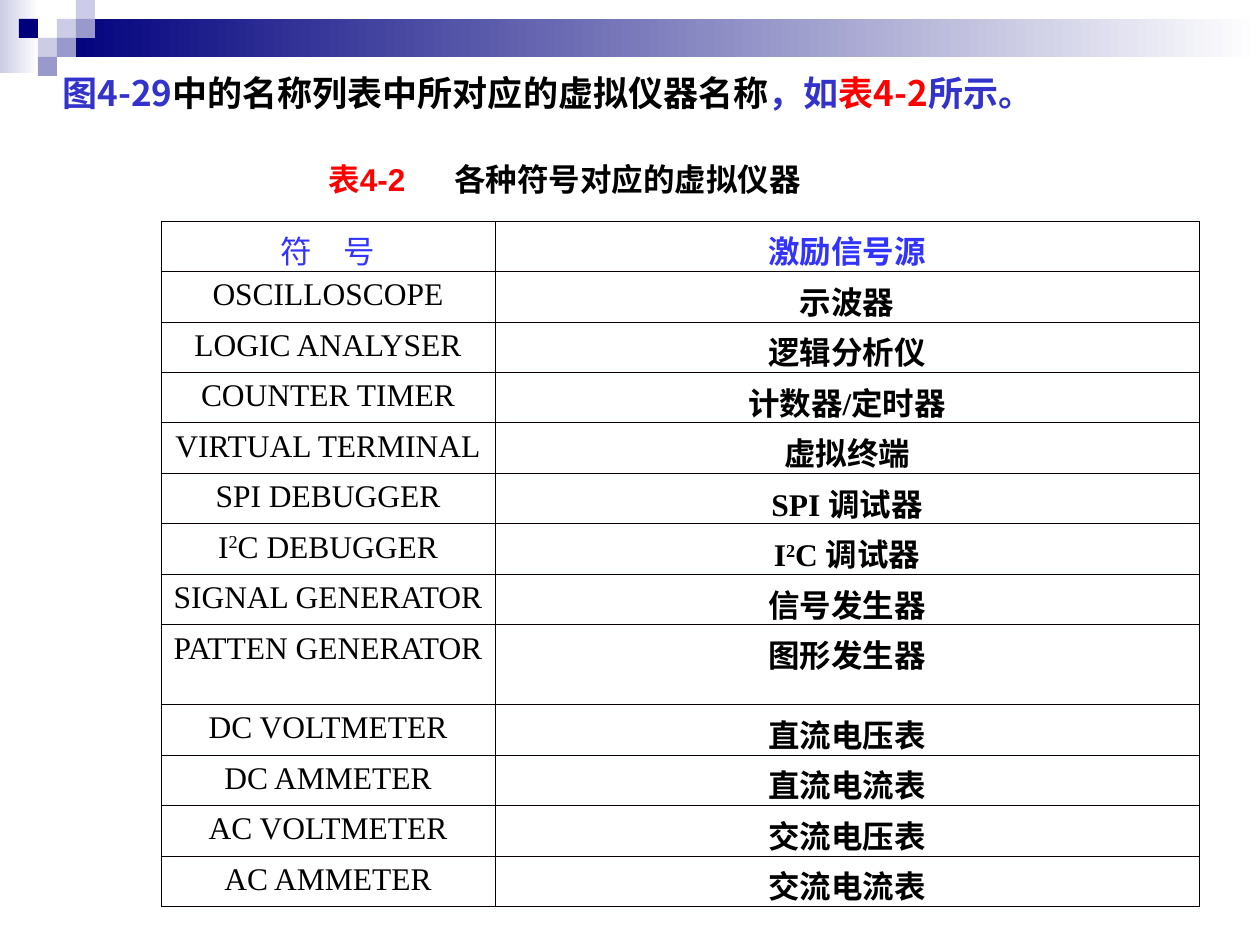
from lxml import etree
from pptx import Presentation
from pptx import util as u
from pptx.dml.color import RGBColor
from pptx.enum import shapes, text
from pptx.oxml.ns import qn

PX = u.Inches(1) / 126
SQUARE = 19
CJK = "Noto Sans CJK SC"
ARIAL = "Arial"
TIMES = "Times New Roman"
BLACK = RGBColor(0, 0, 0)
WHITE = RGBColor(255, 255, 255)
RED = RGBColor(255, 0, 0)
NAVY = RGBColor(0, 0, 0x7D)
LILAC = RGBColor(0xCC, 0xCC, 0xE6)
VIOLET = RGBColor(0x99, 0x99, 0xCC)
BLUE = RGBColor(0x33, 0x33, 0xCC)
HEADER_BLUE = RGBColor(0x33, 0x33, 0xFF)
BORDER = RGBColor(8, 0, 0)

I2C = [("I", {}), ("2", {"raised": True})]
INSTRUMENTS = [
    ("OSCILLOSCOPE", "示波器"),
    ("LOGIC ANALYSER", "逻辑分析仪"),
    ("COUNTER TIMER", [("计数器", {}), ("/", {"font": TIMES}), ("定时器", {})]),
    ("VIRTUAL TERMINAL", "虚拟终端"),
    ("SPI DEBUGGER", [("SPI ", {"font": TIMES}), ("调试器", {})]),
    (I2C + [("C DEBUGGER", {})],
     [(part, {"font": TIMES, **style}) for part, style in I2C + [("C ", {})]]
     + [("调试器", {})]),
    ("SIGNAL GENERATOR", "信号发生器"),
    ("PATTEN GENERATOR", "图形发生器"),
    ("DC VOLTMETER", "直流电压表"),
    ("DC AMMETER", "直流电流表"),
    ("AC VOLTMETER", "交流电压表"),
    ("AC AMMETER", "交流电流表"),
]


def px(length):
    return u.Emu(round(length * PX))


def add_span(para, words, font=CJK, size=18, color=BLACK, bold=True, raised=False):
    span = para.add_run()
    span.text = words
    span.font.name = font
    span.font.size = u.Pt(size)
    span.font.bold = bold
    span.font.color.rgb = color
    properties = span.font._element
    east_asian = etree.Element(qn("a:ea"), typeface=CJK)
    properties.find(qn("a:latin")).addnext(east_asian)
    if raised:
        properties.set("baseline", "30000")


def fill_para(para, content, **style):
    spans = [(content, {})] if isinstance(content, str) else content
    for words, own_style in spans:
        add_span(para, words, **{**style, **own_style})


def add_text(page, left, top, width, height, content, spacing=1, **style):
    box = page.shapes.add_textbox(px(left), px(top), px(width), px(height))
    box.text_frame.word_wrap = True
    para = box.text_frame.paragraphs[0]
    para.line_spacing = spacing
    fill_para(para, content, **style)


def add_block(page, left, top, width, height, color, fade=False):
    block = page.shapes.add_shape(shapes.MSO_SHAPE.RECTANGLE,
                                  px(left), px(top), px(width), px(height))
    block.shadow.inherit = False
    block.line.fill.background()
    if fade:
        block.fill.gradient()
        block.fill.gradient_angle = 0
        for stop, stop_color in zip(block.fill.gradient_stops, (color, WHITE)):
            stop.color.rgb = stop_color
    else:
        block.fill.solid()
        block.fill.fore_color.rgb = color


def add_banner(page):
    add_block(page, 0, 0, 39, 73, LILAC, fade=True)
    add_block(page, 57, SQUARE, 1203, 2 * SQUARE, NAVY, fade=True)
    squares = [(3, 1, LILAC), (4, 0, LILAC), (4, 1, VIOLET), (2, 2, LILAC),
               (1, 1, NAVY), (3, 2, VIOLET), (2, 3, VIOLET)]
    for column, row, color in squares:
        add_block(page, column * SQUARE, row * SQUARE, SQUARE, SQUARE, color)


def set_borders(cell):
    properties = cell._tc.get_or_add_tcPr()
    for index, side in enumerate(("lnL", "lnR", "lnT", "lnB")):
        line = etree.Element(qn("a:" + side), w=str(u.Pt(0.45)))
        solid = etree.SubElement(line, qn("a:solidFill"))
        etree.SubElement(solid, qn("a:srgbClr"), val=str(BORDER))
        properties.insert(index, line)


def fill_cell(cell, content, **style):
    cell.margin_left = cell.margin_right = px(10)
    cell.fill.background()
    set_borders(cell)
    para = cell.text_frame.paragraphs[0]
    para.alignment = text.PP_ALIGN.CENTER
    fill_para(para, content, **style)


def add_instrument_table(page):
    heights = [49] + [44] * len(INSTRUMENTS)
    heights[8] = 80
    widths = [334, 704]
    frame = page.shapes.add_table(len(heights), len(widths), px(161), px(221),
                                  px(sum(widths)), px(sum(heights)))
    table = frame.table
    for column, width in zip(table.columns, widths):
        column.width = px(width)
    for row, height in zip(table.rows, heights):
        row.height = px(height)
    fill_cell(table.cell(0, 0), "符　号", color=HEADER_BLUE, bold=False)
    fill_cell(table.cell(0, 1), "激励信号源", color=HEADER_BLUE)
    for row, (symbol, instrument) in enumerate(INSTRUMENTS, start=1):
        fill_cell(table.cell(row, 0), symbol, font=TIMES, bold=False)
        fill_cell(table.cell(row, 1), instrument)


def main():
    deck = Presentation()
    deck.slide_width, deck.slide_height = px(1260), px(945)
    page = deck.slides.add_slide(deck.slide_layouts[6])
    add_banner(page)
    add_text(page, 50, 44, 1184, 856,
             [("图4-29", {}), ("中的名称列表中所对应的虚拟仪器名称", {"color": BLACK}),
              ("，如", {}), ("表4-2", {"color": RED}), ("所示。", {})],
             spacing=1.5, size=20, color=BLUE)
    add_instrument_table(page)
    add_text(page, 316, 154, 701, 50,
             [("表", {"color": RED}), ("4-2\t", {"font": ARIAL, "color": RED}),
              ("各种符号对应的虚拟仪器", {})])
    deck.save("out.pptx")


if __name__ == "__main__":
    main()
